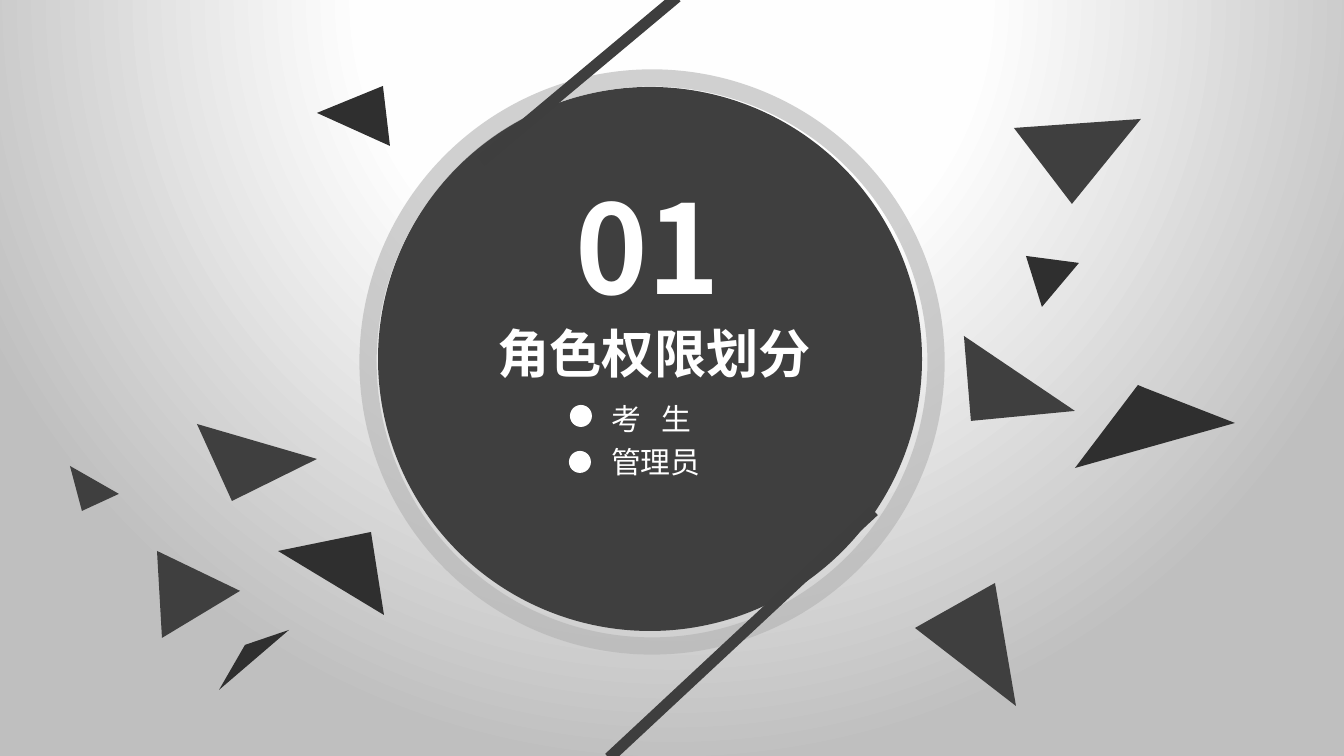
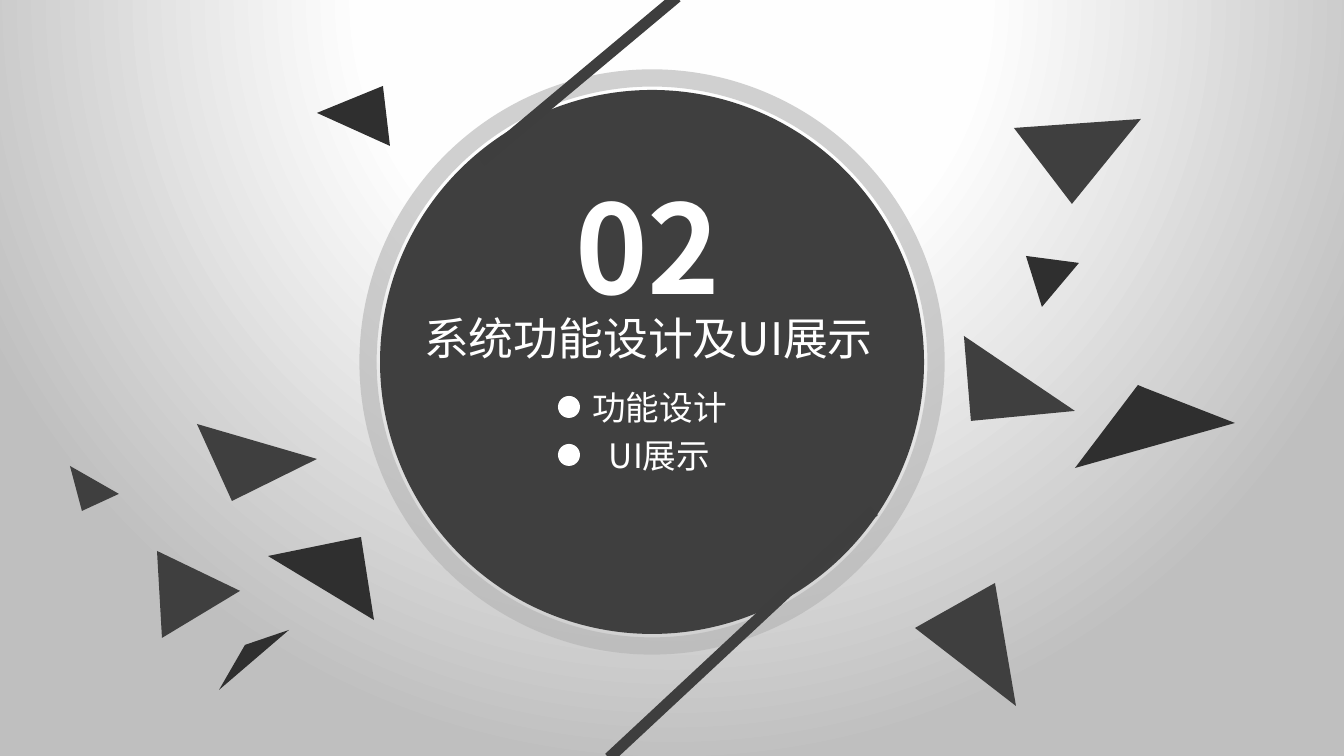
from dataclasses import dataclass

from lxml.etree import SubElement
from pptx import Presentation
from pptx.dml.color import RGBColor
from pptx.enum.shapes import MSO_CONNECTOR as CONNECTOR, MSO_SHAPE as SHAPE
from pptx.enum.text import MSO_AUTO_SIZE as AUTO_SIZE, PP_ALIGN as ALIGN
from pptx.oxml import parse_xml
from pptx.oxml.ns import nsdecls, qn
from pptx.util import Emu, Pt

SCALE = 9144000 / 1344


def px(value):
    return Emu(round(value * SCALE))


@dataclass(frozen=True)
class Theme:
    font: str = "Noto Sans CJK SC"
    dark: str = "3F3F3F"
    darker: str = "2F2F2F"
    slash: str = "3E3E3E"
    ring: str = "B2B2B2"
    white: str = "FFFFFF"
    glow: tuple = ((0, "FFFFFF"), (40, "FEFEFE"), (100, "BFBFBF"))
    number_size: int = 66
    ring_width: float = 9.25
    slash_width: float = 6
    line_spacing: float = 1.2


@dataclass(frozen=True)
class Box:
    x: int
    y: int
    w: int
    h: int

    def inner(self, x, y, w, h):
        return Box(self.x + x, self.y + y, w, h)

    def emu(self):
        return px(self.x), px(self.y), px(self.w), px(self.h)


@dataclass(frozen=True)
class Section:
    number: str
    title: str
    title_box: tuple
    title_size: int
    title_bold: bool
    title_align: ALIGN
    topics: tuple
    topics_box: tuple
    topics_size: int
    topics_align: ALIGN
    dots: tuple
    disc: tuple
    loose_shard: tuple


THEME = Theme()
SCENE = Box(0, 0, 1344, 756)
MEDALLION = Box(368, 78, 568, 568)
DISC_SIZE = 544
DOT_SIZE = 22
WORD_GAP = 720

DARK_SHARDS = (
    ((197, 424), (317, 459), (232, 501)),
    ((157, 551), (240, 591), (162, 638)),
    ((70, 466), (82, 511), (119, 494)),
    ((1014, 128), (1141, 119), (1072, 204)),
    ((964, 336), (971, 421), (1075, 411)),
    ((915, 628), (995, 583), (1016, 706)),
)
DARKER_SHARDS = (
    ((245, 645), (219, 690), (289, 630)),
    ((383, 86), (390, 146), (317, 113)),
    ((1026, 256), (1079, 263), (1042, 307)),
    ((1138, 385), (1075, 468), (1235, 423), (1145, 388)),
)
LOOSE_SHARD = ((106, 83), (0, 19), (93, 0))
SLASHES = (((677, -3), (481, 161)), ((874, 511), (609, 758)))

SECTIONS = (
    Section(
        number="01", title="角色权限划分", title_box=(104, 224, 364, 83),
        title_size=28, title_bold=True, title_align=ALIGN.CENTER,
        topics=("考 生", "管理员"), topics_box=(230, 309, 505, 101),
        topics_size=16, topics_align=ALIGN.LEFT,
        dots=((202, 327), (201, 373)), disc=(10, 9), loose_shard=(278, 532),
    ),
    Section(
        number="02", title="系统功能设计及UI展示", title_box=(43, 215, 505, 73),
        title_size=24, title_bold=False, title_align=ALIGN.LEFT,
        topics=("功能设计", "UI展示"), topics_box=(45, 294, 493, 112),
        topics_size=18, topics_align=ALIGN.CENTER,
        dots=((190, 318), (190, 366)), disc=(12, 12), loose_shard=(268, 537),
    ),
)


def color(value):
    return RGBColor.from_string(value)


def paint(shape, fill):
    shape.shadow.inherit = False
    shape.fill.solid()
    shape.fill.fore_color.rgb = color(fill)
    shape.line.fill.background()


def add_backdrop(slide):
    stops = "".join(
        f'<a:gs pos="{pos * 1000}"><a:srgbClr val="{tone}"/></a:gs>'
        for pos, tone in THEME.glow
    )
    slide._element.cSld.insert(0, parse_xml(
        f'<p:bg {nsdecls("p", "a")}><p:bgPr><a:gradFill rotWithShape="1">'
        f'<a:gsLst>{stops}</a:gsLst><a:path path="circle">'
        '<a:fillToRect l="50000" t="-80000" r="50000" b="180000"/></a:path>'
        '</a:gradFill><a:effectLst/></p:bgPr></p:bg>'
    ))


def add_circle(slide, box, fill):
    paint(slide.shapes.add_shape(SHAPE.OVAL, *box.emu()), fill)


def add_medallion(slide, box, disc):
    add_circle(slide, box.inner(*disc, DISC_SIZE, DISC_SIZE), THEME.dark)
    ring = slide.shapes.add_shape(SHAPE.OVAL, *box.emu())
    ring.shadow.inherit = False
    ring.fill.background()
    ring.line.color.rgb = color(THEME.ring)
    ring.line.width = Pt(THEME.ring_width)
    tone = ring.line._ln.find(".//" + qn("a:srgbClr"))
    SubElement(tone, qn("a:alpha"), val="60000")


def add_shard(slide, box, points, fill):
    outline = slide.shapes.build_freeform(*points[0], scale=SCALE)
    outline.add_line_segments(points[1:], close=True)
    paint(outline.convert_to_shape(px(box.x), px(box.y)), fill)


def add_shards(slide, box, loose_at):
    for points in DARK_SHARDS:
        add_shard(slide, box, points, THEME.dark)
    for points in DARKER_SHARDS:
        add_shard(slide, box, points, THEME.darker)
    add_shard(slide, box.inner(*loose_at, 106, 83), LOOSE_SHARD, THEME.darker)


def add_run(paragraph, text, size, bold):
    run = paragraph.add_run()
    run.text = text
    run.font.name = THEME.font
    run.font.size = Pt(size)
    run.font.bold = bold
    run.font.color.rgb = color(THEME.white)
    props = run._r.get_or_add_rPr()
    SubElement(props, qn("a:ea"), typeface=THEME.font)
    if text == " ":
        props.set("spc", str(WORD_GAP))


def add_text(slide, box, lines, size, bold=False, align=ALIGN.LEFT,
             wrap=True, spacing=THEME.line_spacing):
    frame = slide.shapes.add_textbox(*box.emu()).text_frame
    frame.word_wrap = wrap
    frame.auto_size = AUTO_SIZE.SHAPE_TO_FIT_TEXT
    for index, line in enumerate(lines):
        paragraph = frame.add_paragraph() if index else frame.paragraphs[0]
        paragraph.alignment = align
        paragraph.line_spacing = spacing
        for part in line.partition(" "):
            if part:
                add_run(paragraph, part, size, bold)


def add_heading(slide, box, section):
    add_text(slide, box.inner(*section.title_box), (section.title,),
             section.title_size, section.title_bold, section.title_align)
    for dot in section.dots:
        add_circle(slide, box.inner(*dot, DOT_SIZE, DOT_SIZE), THEME.white)
    add_text(slide, box.inner(*section.topics_box), section.topics,
             section.topics_size, align=section.topics_align)
    add_text(slide, box.inner(194, 87, 180, 163), (section.number,),
             THEME.number_size, bold=True, wrap=False, spacing=1.0)


def add_slashes(slide, box):
    for (x1, y1), (x2, y2) in SLASHES:
        slash = slide.shapes.add_connector(
            CONNECTOR.STRAIGHT, px(box.x + x1), px(box.y + y1),
            px(box.x + x2), px(box.y + y2))
        slash.line.color.rgb = color(THEME.slash)
        slash.line.width = Pt(THEME.slash_width)
        SubElement(slash._element.spPr, qn("a:effectLst"))


def add_section_slide(deck, section):
    slide = deck.slides.add_slide(deck.slide_layouts[6])
    add_backdrop(slide)
    add_medallion(slide, MEDALLION, section.disc)
    add_shards(slide, SCENE, section.loose_shard)
    add_heading(slide, MEDALLION, section)
    add_slashes(slide, SCENE)


def main():
    deck = Presentation()
    deck.slide_width, deck.slide_height = px(SCENE.w), px(SCENE.h)
    for section in SECTIONS:
        add_section_slide(deck, section)
    deck.save("out.pptx")


if __name__ == "__main__":
    main()
